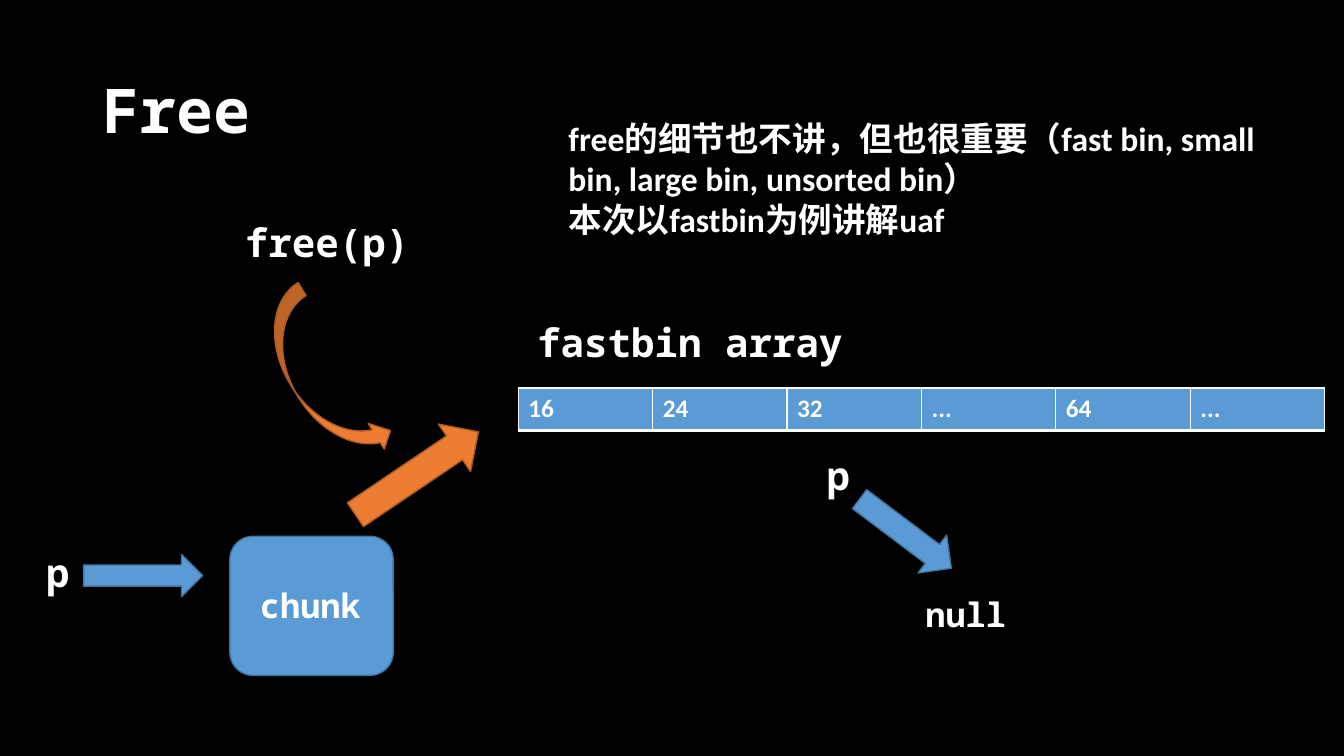
"""Build a slide showing how free(p) moves a chunk into the fastbin array."""
import pptx
import pptx.dml.color
import pptx.enum.shapes
import pptx.enum.text
import pptx.oxml
import pptx.oxml.ns
import pptx.util
from pptx.util import Inches

MONO = "Noto Sans Mono"
WHITE, BLUE, ORANGE = "FFFFFF", "5B9BD5", "ED7D31"
SHAPE = pptx.enum.shapes.MSO_SHAPE


def rgb(hex_color):
    return pptx.dml.color.RGBColor.from_string(hex_color)


def write(tf, text, size, name):
    tf.text = text
    tf.word_wrap = True
    for p in tf.paragraphs:
        p.alignment = pptx.enum.text.PP_ALIGN.LEFT
        p.font.size = pptx.util.Pt(size)
        p.font.name = name
        p.font.bold = True
        p.font.color.rgb = rgb(WHITE)


prs = pptx.Presentation()
prs.slide_width, prs.slide_height = Inches(13.33), Inches(7.5)
s = prs.slides.add_slide(prs.slide_layouts[5])
s.background.fill.solid()
s.background.fill.fore_color.rgb = rgb("000000")

title = s.shapes.title
title.left, title.top = Inches(0.92), Inches(0.4)
title.width, title.height = Inches(11.5), Inches(1.45)
write(title.text_frame, "Free", 44, MONO)
title.text_frame.vertical_anchor = pptx.enum.text.MSO_ANCHOR.MIDDLE
title.text_frame.paragraphs[0].line_spacing = 0.9

shapes = [
    (SHAPE.ROUNDED_RECTANGLE, 2.28, 5.32, 1.62, 1.38, 0, BLUE, "43739E"),
    (SHAPE.RIGHT_ARROW, 0.83, 5.5, 1.18, 0.42, 0, BLUE, "43739E"),
    (SHAPE.RIGHT_ARROW, 8.41, 5.06, 1.14, 0.47, 37, BLUE, "43739E"),
    (SHAPE.CURVED_RIGHT_ARROW, 2.9, 2.82, 0.6, 1.88, 328, ORANGE, "AF5C24"),
    (SHAPE.RIGHT_ARROW, 3.4, 4.41, 1.47, 0.57, 326, ORANGE, "AF5C24"),
]
for kind, x, y, w, h, angle, fill, line in shapes:
    sp = s.shapes.add_shape(kind, Inches(x), Inches(y), Inches(w), Inches(h))
    sp.shadow.inherit = False
    sp.rotation = angle
    sp.fill.solid()
    sp.fill.fore_color.rgb = rgb(fill)
    sp.line.color.rgb = rgb(line)
    sp.line.width = pptx.util.Pt(1)

details = (
    "free的细节也不讲，但也很重要（fast bin, small bin, large bin, unsorted bin）\n"
    "本次以fastbin为例讲解uaf"
)
labels = [
    ("free(p)", 2.33, 2.12, 2.52, 0.57, 28, MONO),
    ("chunk", 2.48, 5.75, 1.24, 0.5, 24, MONO),
    ("p", 0.36, 5.39, 0.52, 0.57, 28, MONO),
    ("fastbin array", 5.23, 3.11, 3.87, 0.57, 28, MONO),
    ("p", 8.1, 4.43, 0.52, 0.57, 28, MONO),
    ("null", 9.08, 5.84, 1.8, 0.5, 24, MONO),
    (details, 5.54, 1.12, 7.56, 1.3, 24, "Calibri"),
]
for text, x, y, w, h, size, name in labels:
    sp = s.shapes.add_textbox(Inches(x), Inches(y), Inches(w), Inches(h))
    write(sp.text_frame, text, size, name)

sizes = ["16", "24", "32", "...", "64", "..."]
table = s.shapes.add_table(
    1, len(sizes), Inches(5.14), Inches(3.85), Inches(8), Inches(0.42)
).table
for cell, text in zip(table.rows[0].cells, sizes):
    write(cell.text_frame, text, 18, "Calibri")
    tc_pr = cell._tc.get_or_add_tcPr()
    for side, points in (("L", 1), ("R", 1), ("T", 1), ("B", 3)):
        tc_pr.append(pptx.oxml.parse_xml(
            f'<a:ln{side} {pptx.oxml.ns.nsdecls("a")} w="{pptx.util.Pt(points)}">'
            f'<a:solidFill><a:srgbClr val="{WHITE}"/></a:solidFill></a:ln{side}>'
        ))
    cell.fill.solid()
    cell.fill.fore_color.rgb = rgb(BLUE)

prs.save("out.pptx")
